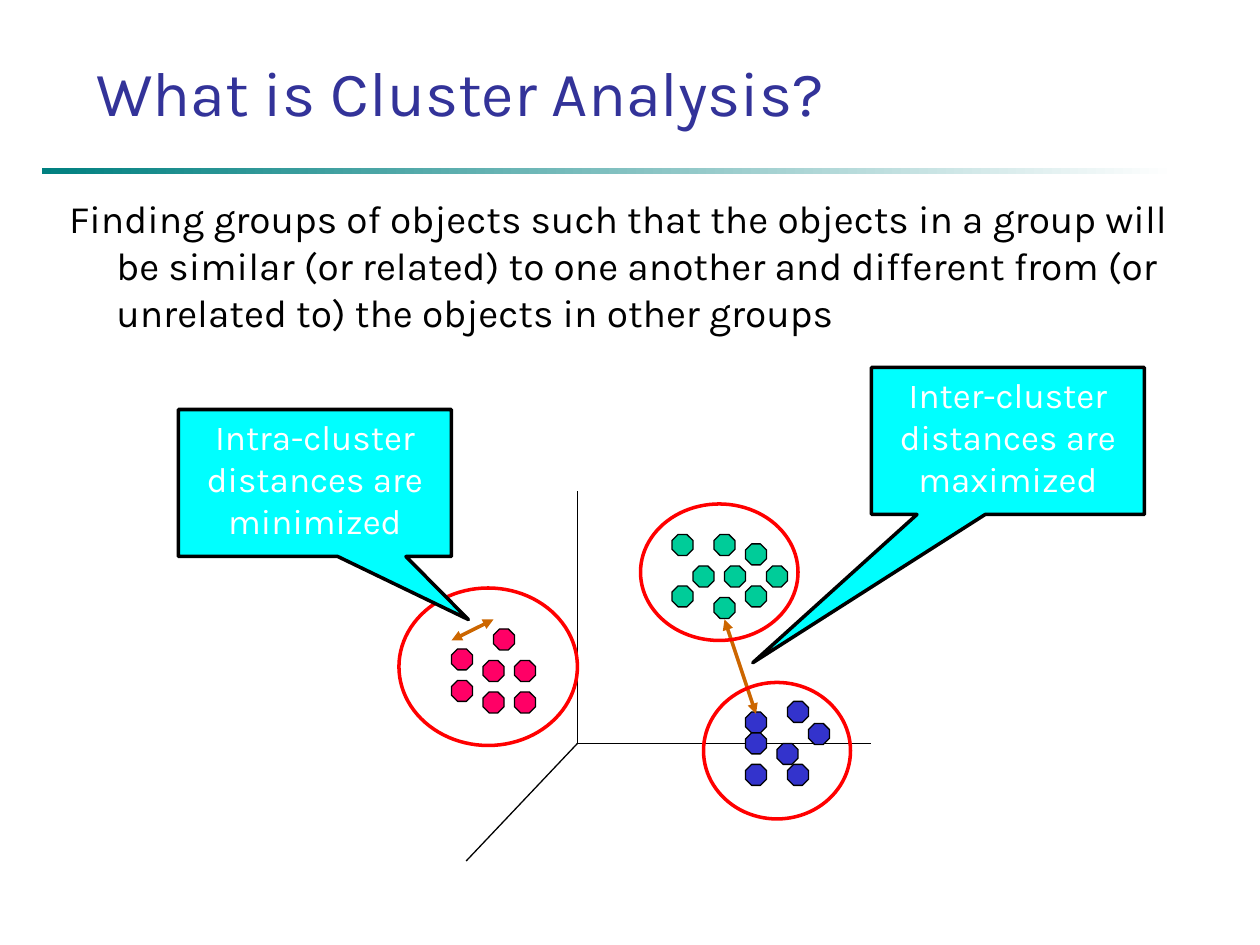
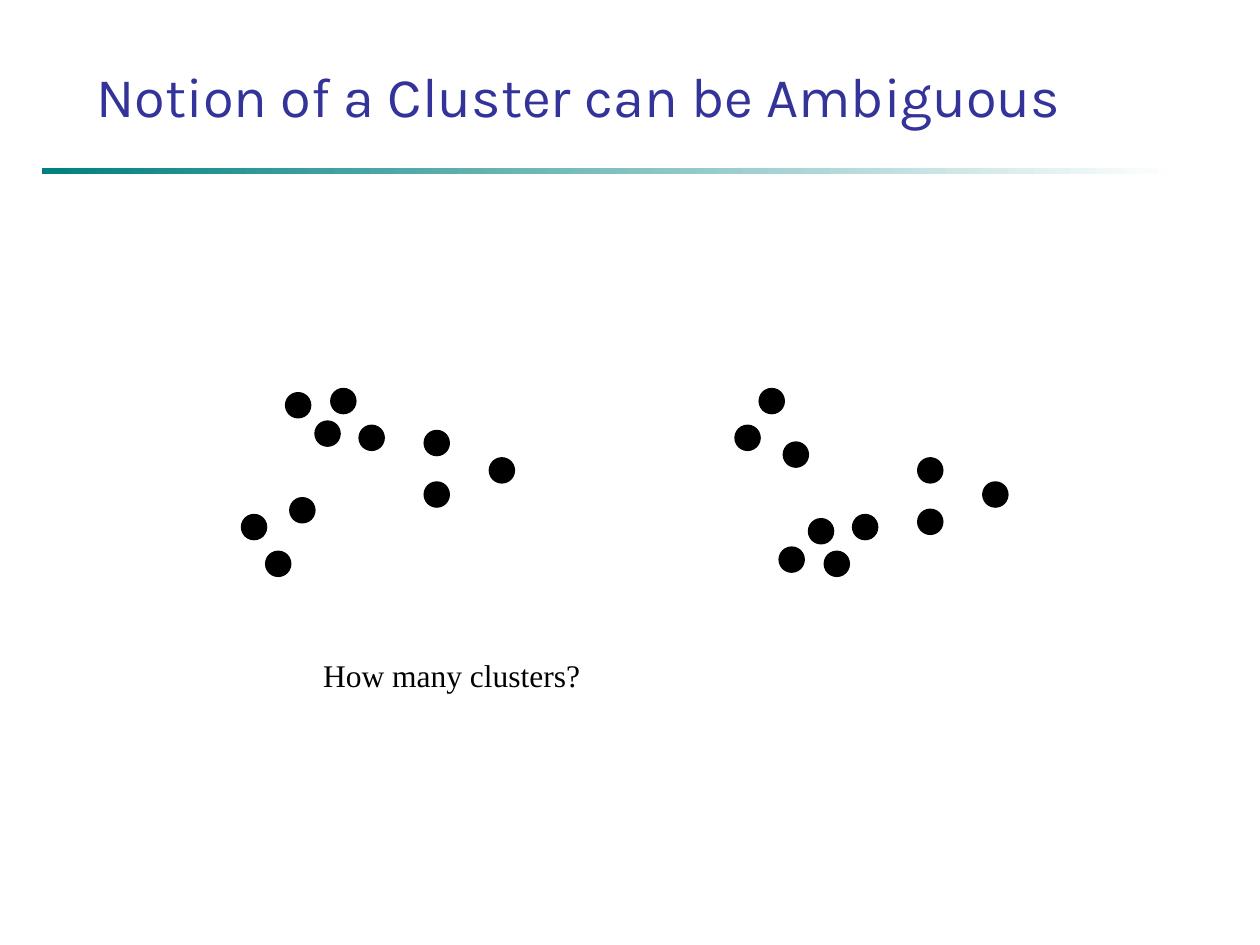
from lxml import etree
from pptx import Presentation
from pptx.dml.color import RGBColor
from pptx.enum.shapes import MSO_CONNECTOR, MSO_SHAPE
from pptx.enum.text import MSO_ANCHOR, PP_ALIGN
from pptx.oxml.ns import qn
from pptx.util import Emu, Pt

PX = 7620
SLIDE_WIDTH, SLIDE_HEIGHT = 1200, 900

WHITE = RGBColor(0xFF, 0xFF, 0xFF)
BLACK = RGBColor(0x00, 0x00, 0x00)
TEAL = RGBColor(0x00, 0x80, 0x80)
INDIGO = RGBColor(0x33, 0x33, 0x99)
CYAN = RGBColor(0x00, 0xFF, 0xFF)
RED = RGBColor(0xFF, 0x00, 0x00)
ORANGE = RGBColor(0xCC, 0x66, 0x00)
GREEN = RGBColor(0x00, 0xCC, 0x99)
PINK = RGBColor(0xFF, 0x00, 0x66)
BLUE = RGBColor(0x33, 0x33, 0xCC)

RECTANGLE = MSO_SHAPE.RECTANGLE
OCTAGON = MSO_SHAPE.OCTAGON
OVAL = MSO_SHAPE.OVAL
CALLOUT = MSO_SHAPE.RECTANGULAR_CALLOUT
STRAIGHT = MSO_CONNECTOR.STRAIGHT
TOP, BOTTOM = MSO_ANCHOR.TOP, MSO_ANCHOR.BOTTOM
LEFT, CENTER = PP_ALIGN.LEFT, PP_ALIGN.CENTER

SANS = "Karla"
SERIF = "Times New Roman"

THIN, THICK = 0.75, 2
OBJECT_SIZE = 20
POINT_SIZE = 24

CLUSTERS = [
    ((610, 480, 150, 130), GREEN,
     [(50, 59), (80, 59), (70, 29), (70, 89), (120, 59),
      (100, 38), (30, 29), (100, 78), (30, 78)]),
    ((380, 560, 170, 150), PINK,
     [(50, 58), (80, 69), (80, 99), (110, 69), (90, 39), (110, 99), (50, 88)]),
    ((670, 650, 140, 130), BLUE,
     [(40, 28), (100, 39), (70, 58), (40, 78), (80, 78), (40, 48), (80, 18)]),
]

SCATTER = [(112, 35), (42, 4), (85, 0), (70, 31), (46, 104),
           (0, 120), (23, 155), (174, 40), (236, 66), (174, 89)]


def emu(*lengths):
    return [Emu(length * PX) for length in lengths]


def write(shape, text, *, size, font=SANS, color=BLACK, align=LEFT,
          anchor=TOP, before=0, hanging=0):
    frame = shape.text_frame
    frame.word_wrap = True
    frame.vertical_anchor = anchor
    paragraph = frame.paragraphs[0]
    paragraph.alignment = align
    paragraph.space_before = Pt(before)
    if hanging:
        properties = paragraph._p.get_or_add_pPr()
        properties.set("marL", str(hanging * PX))
        properties.set("indent", str(-hanging * PX))
    run = paragraph.add_run()
    run.text = text
    run.font.size = Pt(size)
    run.font.name = font
    run.font.color.rgb = color


def add_text(slide, box, text, **style):
    write(slide.shapes.add_textbox(*emu(*box)), text, **style)


def add_figure(slide, preset, box, *, fill=None, line=BLACK, width=THIN):
    figure = slide.shapes.add_shape(preset, *emu(*box))
    figure.shadow.inherit = False
    if fill is None:
        figure.fill.background()
    else:
        figure.fill.solid()
        figure.fill.fore_color.rgb = fill
    if line is None:
        figure.line.fill.background()
    else:
        figure.line.color.rgb = line
        figure.line.width = Pt(width)
    return figure


def add_line(slide, start, end, *, color=BLACK, width=THIN, arrows=False):
    connector = slide.shapes.add_connector(STRAIGHT, *emu(*start, *end))
    connector.line.color.rgb = color
    connector.line.width = Pt(width)
    if arrows:
        outline = connector.line._get_or_add_ln()
        for tip in ("a:headEnd", "a:tailEnd"):
            etree.SubElement(outline, qn(tip), type="triangle")
    etree.SubElement(connector._element.spPr, qn("a:effectLst"))


def add_titled_slide(deck, title, size):
    slide = deck.slides.add_slide(deck.slide_layouts[6])
    rule = add_figure(slide, RECTANGLE, (40, 160, 1080, 6), line=None)
    rule.fill.gradient()
    rule.fill.gradient_angle = 0
    for stop, color in zip(rule.fill.gradient_stops, (TEAL, WHITE)):
        stop.color.rgb = color
    add_text(slide, (80, 50, 1021, 79), title, size=size, color=INDIGO, anchor=BOTTOM)
    return slide


def draw_axes(slide, box):
    left, top, width, height = box
    origin = (left + 106, top + 240)
    for end in ((origin[0], top), (left + width, origin[1]), (left, top + height)):
        add_line(slide, origin, end)


def draw_dots(slide, box, offsets, preset, size, color):
    left, top = box[:2]
    for x, y in offsets:
        add_figure(slide, preset, (left + x, top + y, size, size), fill=color)


def draw_callout(slide, box, text, pointer):
    callout = add_figure(slide, CALLOUT, box, fill=CYAN, width=THICK)
    for index, offset in enumerate(pointer):
        callout.adjustments[index] = offset
    write(callout, text, size=20, color=WHITE, align=CENTER, before=12.5)


def draw_distance(slide, start, end):
    add_line(slide, start, end, color=ORANGE, width=THICK, arrows=True)


def build_definition(deck):
    slide = add_titled_slide(deck, "What is Cluster Analysis?", 36)
    add_text(slide, (54, 180, 1092, 170),
             "Finding groups of objects such that the objects in a group will be "
             "similar (or related) to one another and different from (or unrelated "
             "to) the objects in other groups",
             size=22.2, before=7, hanging=45)
    draw_axes(slide, (444, 468, 386, 352))
    for box, color, offsets in CLUSTERS:
        draw_dots(slide, box, offsets, OCTAGON, OBJECT_SIZE, color)
    draw_distance(slide, (720, 680), (690, 590))
    draw_callout(slide, (830, 350, 260, 140),
                 "Inter-cluster distances are maximized", (-0.935, 1.509))
    for box, _, _ in CLUSTERS:
        add_figure(slide, OVAL, box, line=RED, width=THICK)
    draw_distance(slide, (430, 610), (470, 590))
    draw_callout(slide, (170, 390, 260, 140),
                 "Intra-cluster distances are minimized", (0.562, 0.929))


def build_ambiguity(deck):
    slide = add_titled_slide(deck, "Notion of a Cluster can be Ambiguous", 32)
    lowest = max(y for _, y in SCATTER)
    mirrored = [(x, lowest - y) for x, y in SCATTER]
    draw_dots(slide, (700, 370), mirrored, OVAL, POINT_SIZE, BLACK)
    draw_dots(slide, (230, 370), SCATTER, OVAL, POINT_SIZE, BLACK)
    add_text(slide, (296, 619, 499, 48), "How many clusters?", size=18, font=SERIF)


def main():
    deck = Presentation()
    deck.slide_width, deck.slide_height = emu(SLIDE_WIDTH, SLIDE_HEIGHT)
    build_definition(deck)
    build_ambiguity(deck)
    deck.save("out.pptx")


if __name__ == "__main__":
    main()
